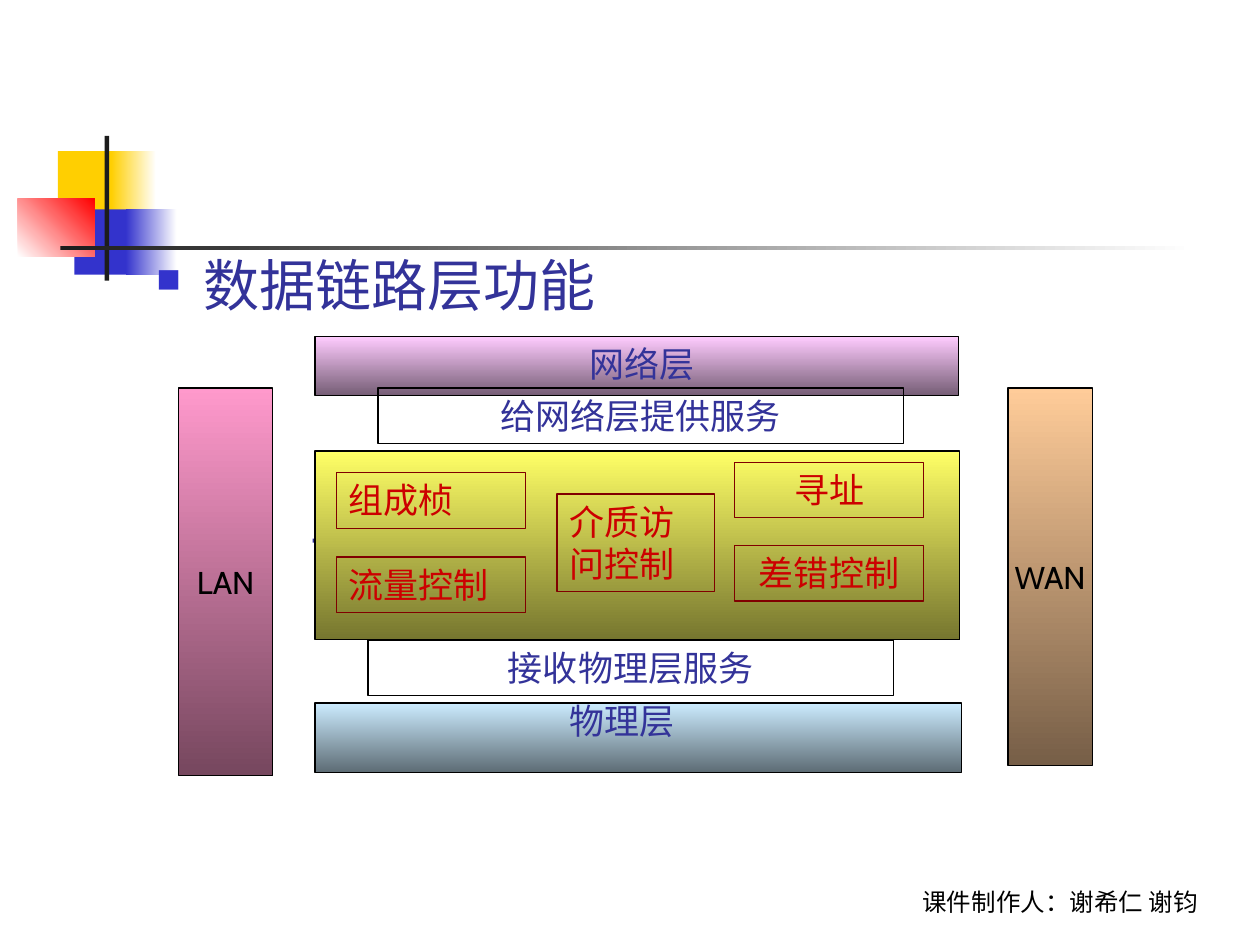
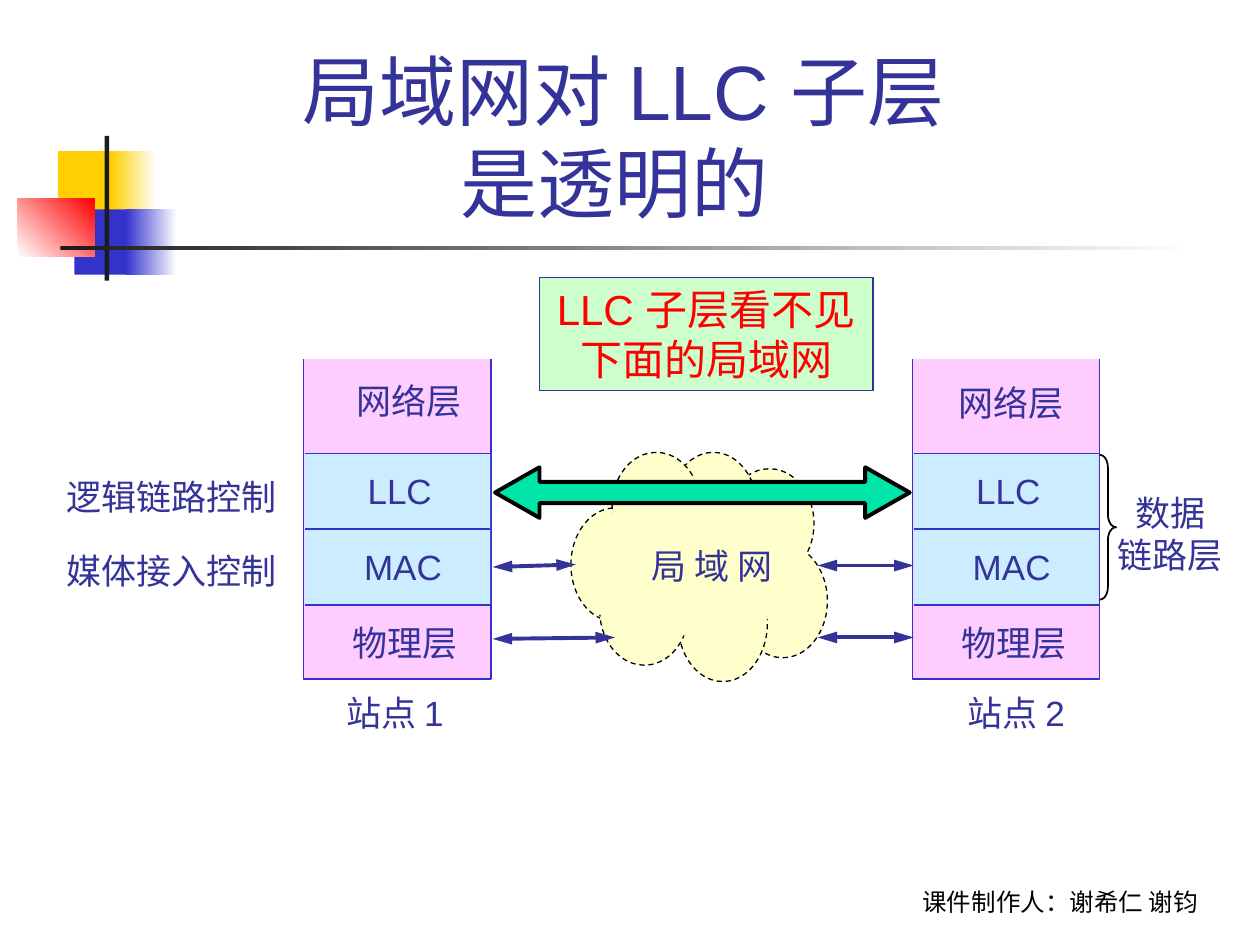
from lxml import etree
from pptx import Presentation
from pptx.dml.color import RGBColor
from pptx.enum.dml import MSO_LINE
from pptx.enum.shapes import MSO_CONNECTOR, MSO_SHAPE
from pptx.enum.text import MSO_ANCHOR, MSO_AUTO_SIZE, PP_ALIGN
from pptx.oxml.ns import qn
from pptx.util import Cm, Pt

RECTANGLE = MSO_SHAPE.RECTANGLE
ELLIPSE = MSO_SHAPE.OVAL
BRACE = MSO_SHAPE.RIGHT_BRACE
WIDE_ARROW = MSO_SHAPE.LEFT_RIGHT_ARROW
STRAIGHT = MSO_CONNECTOR.STRAIGHT
DASH = MSO_LINE.DASH
LEFT, CENTER = PP_ALIGN.LEFT, PP_ALIGN.CENTER
TOP, MIDDLE, BOTTOM = MSO_ANCHOR.TOP, MSO_ANCHOR.MIDDLE, MSO_ANCHOR.BOTTOM
FIXED_SIZE = MSO_AUTO_SIZE.NONE

TITLE_ONLY, BLANK = 5, 6
DOWNWARD = 270
INK, BLUE, RED = "333399", "3333CC", "CC0000"
BLACK, WHITE, CHARCOAL = "000000", "FFFFFF", "1C1C1C"
GOLD, MAROON = "FFCF01", "800000"
PINK, SKY, CREAM = "FFCCFF", "CCECFF", "FFFFCC"
MAIN_FONT, LATIN_FONT = "Arial", "Cabin"


def rgb(color):
    """Turn a hex string into a colour."""
    return RGBColor.from_string(color)


def lengths(*values):
    """Turn centimetres into lengths."""
    return [Cm(value) for value in values]


def paint(shape, fill=None, line=None, width=0.75, angle=DOWNWARD):
    """Set the fill (none, one colour or a pair to blend) and the outline."""
    shape.shadow.inherit = False
    if fill is None:
        shape.fill.background()
    elif isinstance(fill, tuple):
        shape.fill.gradient()
        shape.fill.gradient_angle = angle
        for stop, color in zip(shape.fill.gradient_stops, fill):
            stop.color.rgb = rgb(color)
    else:
        shape.fill.solid()
        shape.fill.fore_color.rgb = rgb(fill)
    if line is None:
        shape.line.fill.background()
    else:
        shape.line.color.rgb = rgb(line)
        shape.line.width = Pt(width)


def write(shape, text, size=20, color=INK, align=LEFT, anchor=TOP,
          font=MAIN_FONT, wrap=True):
    """Put formatted text into a shape."""
    frame = shape.text_frame
    frame.text = text
    frame.word_wrap = wrap
    frame.auto_size = FIXED_SIZE
    frame.vertical_anchor = anchor
    for paragraph in frame.paragraphs:
        paragraph.alignment = align
        for run in paragraph.runs:
            run.font.name = font
            run.font.size = Pt(size)
            run.font.color.rgb = rgb(color)


def add_preset(shapes, kind, box, **look):
    """Add a painted preset shape."""
    shape = shapes.add_shape(kind, *lengths(*box))
    paint(shape, **look)
    return shape


def add_label(slide, text, box, **style):
    """Add a text box."""
    label = slide.shapes.add_textbox(*lengths(*box))
    write(label, text, **style)
    return label


def add_outline(shapes, points, close, **look):
    """Add a painted freeform through the points."""
    corners = [tuple(lengths(*point)) for point in points]
    builder = shapes.build_freeform(*corners[0])
    builder.add_line_segments(corners[1:], close=close)
    paint(builder.convert_to_shape(), **look)


def add_line(slide, ends, color, width, arrows=False):
    """Add a straight line, with arrowheads at both ends on request."""
    line = slide.shapes.add_connector(STRAIGHT, *lengths(*ends))
    line.line.color.rgb = rgb(color)
    line.line.width = Pt(width)
    properties = line._element.spPr
    if arrows:
        outline = properties.find(qn("a:ln"))
        for end in ("a:headEnd", "a:tailEnd"):
            etree.SubElement(outline, qn(end), type="triangle", w="med", len="lg")
    etree.SubElement(properties, qn("a:effectLst"))
    return line


def add_bullet(paragraph, color, percent):
    """Give a paragraph a square bullet with a hanging indent."""
    properties = paragraph._p.get_or_add_pPr()
    properties.set("marL", str(Cm(0.95)))
    properties.set("indent", str(-Cm(0.95)))
    bullet_color = etree.SubElement(properties, qn("a:buClr"))
    etree.SubElement(bullet_color, qn("a:srgbClr"), val=color)
    etree.SubElement(properties, qn("a:buSzPct"), val=str(percent * 1000))
    etree.SubElement(properties, qn("a:buChar"), char="■")


def add_decoration(slide):
    """Add the coloured squares, crossing bars and footer of every slide."""
    for box, fill, angle in (
        ((1.17, 3.05, 1.22, 1.32), GOLD, 0),
        ((2.24, 3.05, 0.91, 1.32), (GOLD, WHITE), 0),
        ((1.5, 4.22, 1.17, 1.32), BLUE, 0),
        ((2.54, 4.22, 1.02, 1.32), (BLUE, WHITE), 0),
        ((0.36, 4.01, 1.55, 1.17), (WHITE, "FF0000"), 45),
        ((2.11, 2.74, 0.09, 2.92), CHARCOAL, 0),
        ((1.22, 4.95, 22.86, 0.09), (CHARCOAL, WHITE), 0),
    ):
        add_preset(slide.shapes, RECTANGLE, box, fill=fill, angle=angle)
    add_label(slide, "课件制作人：谢希仁 谢钧", (17.35, 17.32, 8.05, 1.27),
              size=14, color=BLACK, align=CENTER, anchor=BOTTOM, font=LATIN_FONT)


def build_functions_slide(presentation):
    """Show the functions of the data link layer."""
    slide = presentation.slides.add_slide(presentation.slide_layouts[BLANK])
    add_decoration(slide)
    heading = add_label(slide, "数据链路层功能", (2.9, 4.93, 21.59, 11.43), size=32)
    add_bullet(heading.text_frame.paragraphs[0], BLUE, 60)
    add_line(slide, (6.3, 10.9, 19.35, 10.85), INK, 2.25)

    for box, fill in (
        ((6.35, 14.17, 13.03, 1.4), (SKY, "5E6D76")),
        ((6.35, 9.09, 13, 3.81), ("FFFF66", "76762F")),
        ((6.35, 6.78, 12.98, 1.19), (PINK, "765E76")),
    ):
        add_preset(slide.shapes, RECTANGLE, box, fill=fill, line=BLACK)
    add_label(slide, "物理层", (11.23, 13.97, 2.62, 1.12), wrap=False)
    add_label(slide, "网络层", (11.63, 6.78, 2.62, 1.12), wrap=False)

    for text, left, top in (("给网络层提供服务", 7.62, 7.82),
                            ("接收物理层服务", 7.42, 12.9)):
        service = add_preset(slide.shapes, RECTANGLE, (left, top, 10.59, 1.12), line=BLACK)
        write(service, text, align=CENTER)

    for text, box, align in (
        ("组成桢", (6.78, 9.53, 3.81, 1.12), LEFT),
        ("流量控制", (6.78, 11.23, 3.81, 1.12), LEFT),
        ("介质访问控制", (11.23, 9.96, 3.18, 1.96), LEFT),
        ("寻址", (14.81, 9.32, 3.81, 1.12), CENTER),
        ("差错控制", (14.81, 11, 3.81, 1.12), CENTER),
    ):
        function = add_preset(slide.shapes, RECTANGLE, box, line=MAROON)
        write(function, text, color=RED, align=align)

    for text, box, fill in (
        ("LAN", (3.6, 7.82, 1.9, 7.82), ("FF99CC", "76475E")),
        ("WAN", (20.32, 7.82, 1.7, 7.62), ("FFCC99", "765E47")),
    ):
        network = add_preset(slide.shapes, RECTANGLE, box, fill=fill, line=BLACK)
        write(network, text, size=18, color=BLACK, align=CENTER, anchor=MIDDLE,
              font=LATIN_FONT, wrap=False)


def add_station(slide, left, name, name_offset, network_offset, network_top):
    """Add the protocol stack of one station."""
    right, top, bottom = left + 3.78, 7.24, 13.69
    add_outline(slide.shapes, [(left, top), (left, bottom), (right, bottom), (right, top)],
                False, fill=PINK, line=BLUE)
    start, width, link_top, link_height = left + 0.03, 3.73, 9.14, 3.05
    link_layer = add_preset(slide.shapes, RECTANGLE,
                            (start, link_top, width, link_height), fill=SKY)
    dividers = []
    for step in range(3):
        y = link_top + step * link_height / 2
        dividers.append(add_line(slide, (start, y, start + width, y), BLUE, 1))
    dividers[1].begin_connect(link_layer, 1)
    dividers[1].end_connect(link_layer, 3)

    for text, offset, label_top, label_width in (
        ("网络层", network_offset, network_top, 2.62),
        ("LLC", 1.04, 9.35, 1.8),
        ("MAC", 0.97, 10.87, 2.08),
        ("物理层", 0.74, 12.4, 2.62),
        (name, name_offset, 13.82, 2.64),
    ):
        add_label(slide, text, (left + offset, label_top, label_width, 1.09), wrap=False)


def add_cloud(slide):
    """Add the local network cloud."""
    cloud = slide.shapes.add_group_shape().shapes
    for box in (
        (14.88, 10.97, 1.8, 2.29),
        (11.51, 10.24, 1.78, 2.29),
        (14.61, 9.45, 1.8, 2.21),
        (13.67, 11.4, 1.8, 2.34),
        (12.09, 11.2, 1.8, 2.21),
        (13.49, 9.12, 1.78, 2.29),
        (12.34, 9.12, 1.78, 2.18),
    ):
        puff = add_preset(cloud, ELLIPSE, box, fill=CREAM, line=BLACK)
        puff.line.dash_style = DASH
    add_preset(cloud, ELLIPSE, (11.96, 9.65, 4.32, 3.18), fill=CREAM)
    add_outline(cloud, [(12.14, 11.79), (12.24, 11.89), (12.14, 12.37),
                        (12.09, 12.4), (12.01, 12.29), (12.07, 12.14)],
                True, fill=CREAM)
    add_label(slide, "局 域 网", (12.88, 10.85, 2.95, 1.09), wrap=False)


def build_transparency_slide(presentation):
    """Show that the LLC sublayer does not see the local network."""
    slide = presentation.slides.add_slide(presentation.slide_layouts[TITLE_ONLY])
    add_decoration(slide)
    title = slide.shapes.title
    title.left, title.top, title.width, title.height = lengths(3.05, 2.59, 19.05, 2.13)
    write(title, "局域网对 LLC 子层\v是透明的 ", size=44, align=CENTER, anchor=BOTTOM)

    add_station(slide, 6.12, "站点 1", 0.61, 0.81, 7.52)
    add_station(slide, 18.39, "站点 2", 0.86, 0.69, 7.57)
    add_cloud(slide)
    for ends in (
        (9.93, 11.43, 11.61, 11.38),
        (18.42, 11.4, 16.48, 11.4),
        (9.93, 12.88, 12.4, 12.85),
        (18.42, 12.85, 16.48, 12.85),
    ):
        add_line(slide, ends, INK, 2.25, arrows=True)
    peer_link = add_preset(slide.shapes, WIDE_ARROW, (9.98, 9.42, 8.36, 1.02),
                           fill="00E4A8", line=BLACK, width=2.25)
    peer_link.adjustments[0] = 0.42
    peer_link.adjustments[1] = 0.88

    add_label(slide, "逻辑链路控制", (1.09, 9.47, 4.75, 1.09), wrap=False)
    add_label(slide, "媒体接入控制", (1.09, 10.95, 4.75, 1.09), wrap=False)
    brace = add_preset(slide.shapes, BRACE, (22.17, 9.17, 0.33, 2.92), line=BLACK, width=1)
    brace.adjustments[0] = 0.77
    add_label(slide, "数据\n链路层", (22.28, 9.78, 2.62, 1.93), align=CENTER, wrap=False)
    callout = add_preset(slide.shapes, RECTANGLE, (10.87, 5.59, 6.73, 2.29),
                         fill="CCFFCC", line=INK)
    write(callout, "LLC 子层看不见\n下面的局域网", size=24, color="FF0000",
          align=CENTER, wrap=False)


def main():
    """Build and save the presentation."""
    presentation = Presentation()
    presentation.slide_width, presentation.slide_height = lengths(25.4, 19.05)
    build_functions_slide(presentation)
    build_transparency_slide(presentation)
    presentation.save("out.pptx")


if __name__ == "__main__":
    main()
